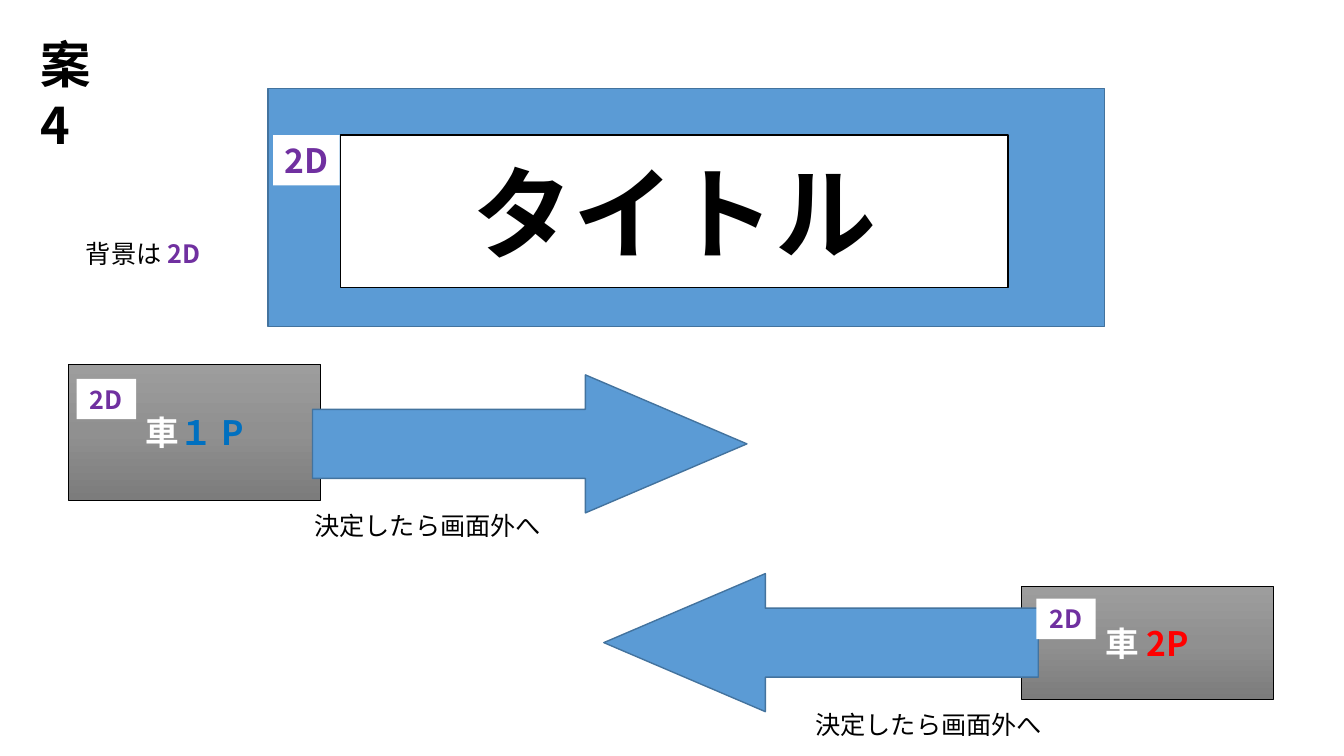
from copy import deepcopy
from dataclasses import dataclass
from typing import Optional

from lxml.etree import SubElement
from pptx import Presentation
from pptx.dml.color import RGBColor
from pptx.enum.shapes import MSO_SHAPE
from pptx.enum.text import MSO_ANCHOR, MSO_AUTO_SIZE, PP_ALIGN
from pptx.oxml.ns import qn
from pptx.util import Pt

FONT = "Noto Sans CJK JP"
BLACK = RGBColor(0x00, 0x00, 0x00)
WHITE = RGBColor(0xFF, 0xFF, 0xFF)
BLUE = RGBColor(0x5B, 0x9B, 0xD5)
BLUE_EDGE = RGBColor(0x43, 0x73, 0x9E)
PURPLE = RGBColor(0x70, 0x30, 0xA0)
PLAYER1 = RGBColor(0x00, 0x70, 0xC0)
PLAYER2 = RGBColor(0xFF, 0x00, 0x00)
CAR_GREYS = {0: RGBColor(0x9D, 0x9D, 0x9D),
             0.5: RGBColor(0x90, 0x90, 0x90),
             1: RGBColor(0x7C, 0x7C, 0x7C)}


@dataclass(frozen=True)
class Run:
    text: str
    size: float
    color: RGBColor = BLACK
    bold: bool = False


@dataclass(frozen=True)
class Box:
    left: float
    top: float
    width: float
    height: float
    fill: Optional[RGBColor] = None
    edge: Optional[RGBColor] = None
    edge_width: float = 1
    runs: tuple[Run, ...] = ()
    align: PP_ALIGN = PP_ALIGN.CENTER
    anchor: MSO_ANCHOR = MSO_ANCHOR.MIDDLE
    grow: bool = False
    right_inset: float = 7.2


prs = Presentation()
prs.slide_width, prs.slide_height = Pt(960), Pt(540)
slide = prs.slides.add_slide(prs.slide_layouts[6])


def write(sp, box: Box) -> None:
    tf = sp.text_frame
    frame_format = {
        "word_wrap": True,
        "vertical_anchor": box.anchor,
        "auto_size": MSO_AUTO_SIZE.SHAPE_TO_FIT_TEXT if box.grow else MSO_AUTO_SIZE.NONE,
        "margin_right": Pt(box.right_inset),
    }
    for name, value in frame_format.items():
        setattr(tf, name, value)
    p = tf.paragraphs[0]
    p.alignment = box.align
    for run in box.runs:
        r = p.add_run()
        r.text = run.text
        for name, value in {"name": FONT, "size": Pt(run.size), "bold": run.bold}.items():
            setattr(r.font, name, value)
        r.font.color.rgb = run.color
        SubElement(r.font._element, qn("a:ea"), typeface=FONT)


def place(box: Box) -> tuple[Pt, ...]:
    return tuple(Pt(v) for v in (box.left, box.top, box.width, box.height))


def add_shape(box: Box, kind: MSO_SHAPE = MSO_SHAPE.RECTANGLE):
    sp = slide.shapes.add_shape(kind, *place(box))
    sp.shadow.inherit = False
    if box.fill is not None:
        sp.fill.solid()
        sp.fill.fore_color.rgb = box.fill
    if box.edge is None:
        sp.line.fill.background()
    else:
        sp.line.color.rgb = box.edge
        sp.line.width = Pt(box.edge_width)
    if box.runs:
        write(sp, box)
    return sp


def add_text(box: Box) -> None:
    write(slide.shapes.add_textbox(*place(box)), box)


def add_car(left: float, top: float, height: float, player: str, color: RGBColor) -> None:
    runs = (Run("車", 24, WHITE, True), Run(player, 24, color, True))
    sp = add_shape(Box(left, top, 180, height, edge=BLACK, edge_width=0.5, runs=runs))
    sp.fill.gradient()
    sp.fill.gradient_angle = 270
    stops = sp._element.spPr.find(qn("a:gradFill")).find(qn("a:gsLst"))
    stops.insert(1, deepcopy(stops[0]))
    for stop, (position, grey) in zip(sp.fill.gradient_stops, CAR_GREYS.items()):
        stop.position = position
        stop.color.rgb = grey


def add_arrow(left: float, top: float, rotation: float = 0) -> None:
    sp = add_shape(Box(left, top, 310.3, 98.6, BLUE, BLUE_EDGE), MSO_SHAPE.RIGHT_ARROW)
    sp.adjustments[0], sp.adjustments[1] = 0.5, 1.17
    sp.rotation = rotation


def add_exit_note(left: float, top: float) -> None:
    add_text(Box(left, top, 185.8, 28.8, runs=(Run("決定したら画面外へ", 18),),
                 align=PP_ALIGN.LEFT, anchor=MSO_ANCHOR.TOP, grow=True))


def add_badge(left: float, top: float, width: float, height: float, size: float) -> None:
    add_shape(Box(left, top, width, height, WHITE, runs=(Run("2D", size, PURPLE, True),),
                  anchor=MSO_ANCHOR.TOP, grow=True))


# Cars and the blue title backdrop
add_car(49, 260, 97.2, "１P", PLAYER1)
add_shape(Box(191.5, 63.4, 597.6, 169.9, BLUE, BLUE_EDGE))
add_car(729.4, 419, 80.6, "2P", PLAYER2)

# Exit directions with their notes
add_arrow(223.2, 267.8)
add_exit_note(217.4, 360.7)
add_exit_note(575.3, 503.3)
add_arrow(431.3, 409.7, 180)

# Title panel
add_shape(Box(243.4, 96.5, 476.6, 108.7, WHITE, BLACK,
              runs=(Run("タイトル", 72, bold=True),)))

# Plan number, its digit wrapping to a second line
add_text(Box(21.6, 20.2, 75.6, 51.1, runs=(Run("案4", 36, bold=True),),
             align=PP_ALIGN.LEFT, anchor=MSO_ANCHOR.TOP, right_inset=25))

# Background note
add_text(Box(31, 167, 142.6, 28.8, runs=(Run("背景は", 18), Run("2D", 18, PURPLE, True)),
             anchor=MSO_ANCHOR.TOP, grow=True))

# 2D badges on the title and both cars
add_badge(195.1, 96.5, 47.5, 36, 24)
for left, top in ((54.7, 270.7), (740.2, 427.7)):
    add_badge(left, top, 42.5, 28.8, 18)

prs.save("out.pptx")
